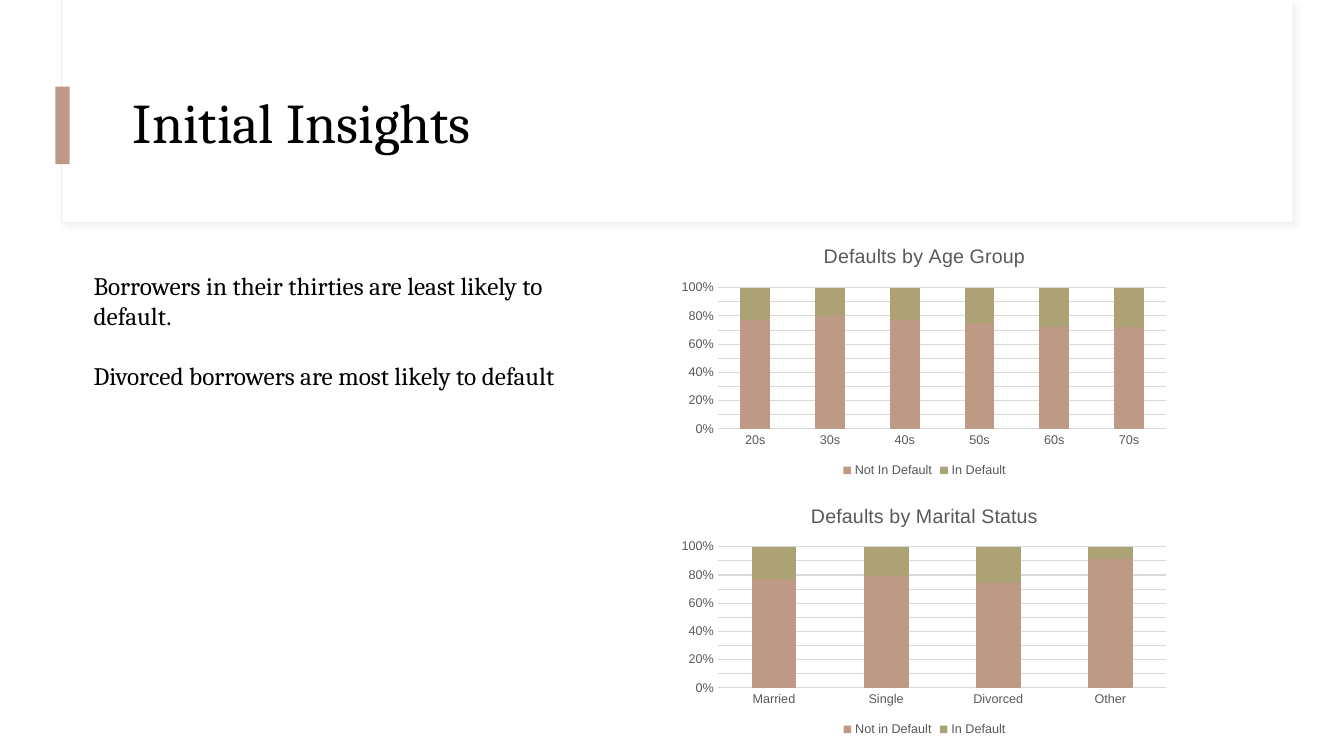
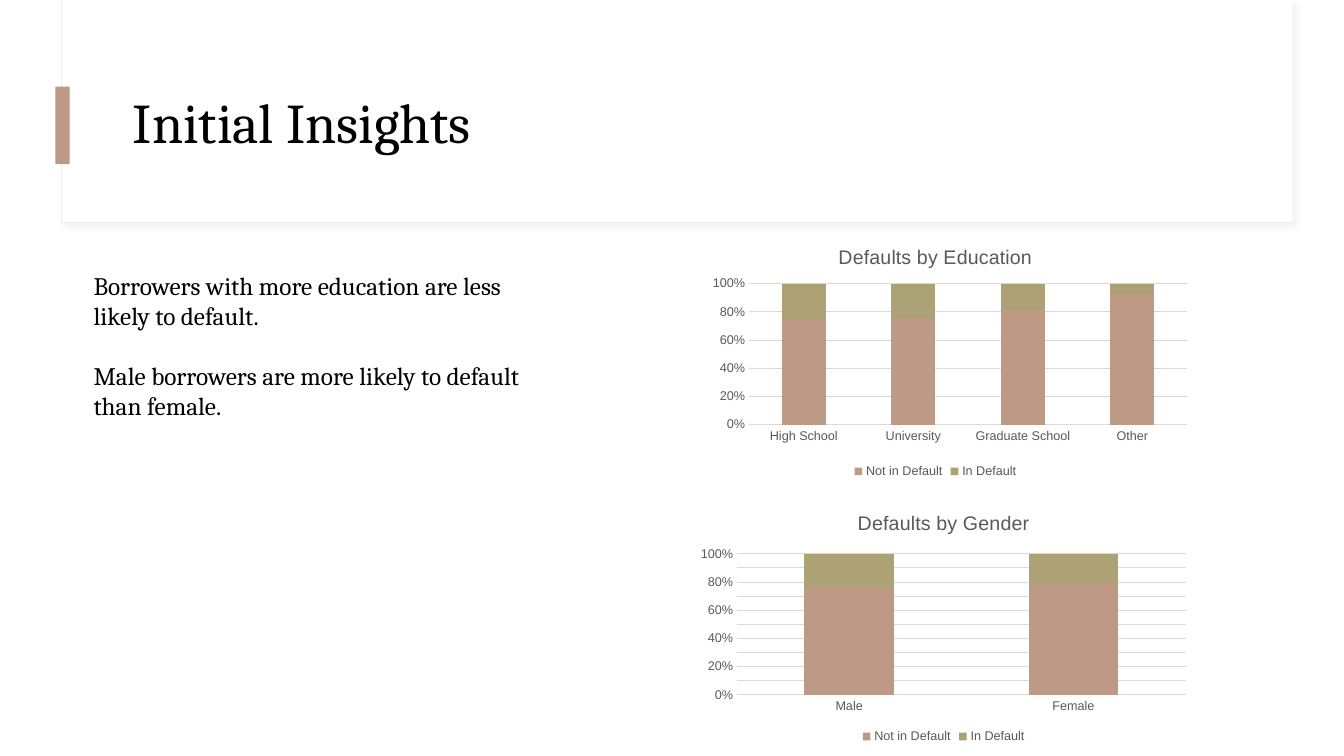
from dataclasses import dataclass

from lxml import etree
from pptx import Presentation
from pptx.chart.axis import _BaseAxis
from pptx.chart.chart import Chart
from pptx.chart.data import CategoryChartData
from pptx.dml.color import RGBColor
from pptx.enum.chart import XL_CHART_TYPE, XL_LEGEND_POSITION, XL_TICK_MARK
from pptx.enum.shapes import MSO_SHAPE
from pptx.enum.text import MSO_ANCHOR, MSO_AUTO_SIZE
from pptx.oxml import parse_xml
from pptx.oxml.ns import nsdecls, qn
from pptx.shapes.autoshape import Shape
from pptx.slide import Slide
from pptx.text.text import Font
from pptx.util import Emu, Pt

EMU_PER_PX = 9144
STACKED_100 = XL_CHART_TYPE.COLUMN_STACKED_100
LEGEND_BOTTOM = XL_LEGEND_POSITION.BOTTOM
NO_TICK = XL_TICK_MARK.NONE
RECT = MSO_SHAPE.RECTANGLE
MIDDLE = MSO_ANCHOR.MIDDLE
FIT_SHAPE = MSO_AUTO_SIZE.SHAPE_TO_FIT_TEXT


@dataclass(frozen=True)
class Theme:
    white: str = "FFFFFF"
    ink: str = "000000"
    muted: str = "595959"
    grid: str = "D9D9D9"
    frame: str = "EDF0E4"
    rose: str = "BE9A86"
    olive: str = "ADA176"
    text_font: str = "Cambria"
    chart_font: str = "Arial"
    title_pt: int = 40
    body_pt: int = 18
    body_gap_pt: int = 21
    chart_title_pt: int = 14
    chart_pt: int = 10
    label_pt: int = 9
    line_pt: float = 0.75


@dataclass(frozen=True)
class Box:
    x: int
    y: int
    w: int
    h: int

    def emu(self) -> tuple[Emu, ...]:
        return tuple(Emu(v * EMU_PER_PX) for v in (self.x, self.y, self.w, self.h))


@dataclass(frozen=True)
class PlotArea:
    x: float
    y: float
    w: float
    h: float


AUTO_PLOT = PlotArea(0.09, 0.23, 0.89, 0.56)
WIDE_PLOT = PlotArea(0.13, 0.21, 0.87, 0.56)


@dataclass(frozen=True)
class DefaultChart:
    title: str
    x: int
    y: int
    rates: dict[str, tuple[int, int]]
    first_series: str = "Not in Default"
    plot: PlotArea = AUTO_PLOT
    step: float = 0.1


@dataclass(frozen=True)
class Insight:
    points: tuple[str, ...]
    charts: tuple[DefaultChart, ...]


THEME = Theme()
SLIDE = Box(0, 0, 1333, 750)
FRAME = Box(61, 0, 1221, 221)
PANEL = Box(62, 0, 1220, 220)
MARKER = Box(55, 86, 14, 77)
TITLE = Box(122, 60, 1112, 129)
BODY = Box(83, 263, 483, 162)
CHART_W, CHART_H = 500, 250

INSIGHTS = (
    Insight(
        (
            "Borrowers in their thirties are least likely to default.",
            "Divorced borrowers are most likely to default",
        ),
        (
            DefaultChart(
                "Defaults by Age Group", 667, 228,
                {"20s": (77, 23), "30s": (80, 20), "40s": (77, 23),
                 "50s": (75, 25), "60s": (72, 28), "70s": (72, 28)},
                first_series="Not In Default",
            ),
            DefaultChart(
                "Defaults by Marital Status", 667, 485,
                {"Married": (77, 23), "Single": (79, 21),
                 "Divorced": (74, 26), "Other": (91, 9)},
            ),
        ),
    ),
    Insight(
        (
            "Borrowers with more education are less likely to default.",
            "Male borrowers are more likely to default than female.",
        ),
        (
            DefaultChart(
                "Defaults by Education", 678, 229,
                {"High School": (75, 25), "University": (76, 24),
                 "Graduate School": (81, 19), "Other": (93, 7)},
                plot=WIDE_PLOT, step=0.2,
            ),
            DefaultChart(
                "Defaults by Gender", 686, 492,
                {"Male": (76, 24), "Female": (79, 21)},
            ),
        ),
    ),
)


def rgb(color: str) -> RGBColor:
    return RGBColor.from_string(color)


def style_font(font: Font, name: str, size: int, color: str) -> None:
    font.name = name
    font.size = Pt(size)
    font.bold = False
    font.color.rgb = rgb(color)


def add_rect(slide: Slide, box: Box, fill: str) -> Shape:
    sp = slide.shapes.add_shape(RECT, *box.emu())
    sp.shadow.inherit = False
    sp.fill.solid()
    sp.fill.fore_color.rgb = rgb(fill)
    sp.line.fill.background()
    return sp


def add_soft_shadow(sp: Shape, color: str) -> None:
    effects = sp.element.spPr.find(qn("a:effectLst"))
    effects.append(parse_xml(
        f'<a:outerShdw {nsdecls("a")} blurRad="{Pt(4)}" dist="{Pt(3)}" '
        f'dir="2700000" algn="tl" rotWithShape="0"><a:srgbClr val="{color}">'
        '<a:alpha val="30000"/></a:srgbClr></a:outerShdw>'
    ))


def add_text(slide: Slide, box: Box, texts: tuple[str, ...], size: int) -> Shape:
    sp = slide.shapes.add_textbox(*box.emu())
    tf = sp.text_frame
    tf.word_wrap = True
    for i, text in enumerate(texts):
        p = tf.add_paragraph() if i else tf.paragraphs[0]
        if i:
            p.space_before = Pt(THEME.body_gap_pt)
        r = p.add_run()
        r.text = text
        style_font(r.font, THEME.text_font, size, THEME.ink)
    return sp


def add_header(slide: Slide, title: str) -> None:
    frame = add_rect(slide, FRAME, THEME.white)
    frame.line.color.rgb = rgb(THEME.frame)
    frame.line.width = Pt(THEME.line_pt)
    add_soft_shadow(frame, THEME.grid)
    add_rect(slide, PANEL, THEME.white)
    add_rect(slide, MARKER, THEME.rose)
    tf = add_text(slide, TITLE, (title,), THEME.title_pt).text_frame
    tf.vertical_anchor = MIDDLE
    tf.paragraphs[0].line_spacing = 0.9


def set_plot_area(chart: Chart, plot: PlotArea) -> None:
    area = chart.element.find(".//" + qn("c:plotArea"))
    for old in area.findall(qn("c:layout")):
        area.remove(old)
    layout = etree.Element(qn("c:layout"))
    manual = etree.SubElement(layout, qn("c:manualLayout"))
    settings = (
        ("layoutTarget", "inner"), ("xMode", "edge"), ("yMode", "edge"),
        ("x", plot.x), ("y", plot.y), ("w", plot.w), ("h", plot.h),
    )
    for tag, value in settings:
        etree.SubElement(manual, qn(f"c:{tag}")).set("val", str(value))
    area.insert(0, layout)


def style_axis(axis: _BaseAxis) -> None:
    axis.major_tick_mark = NO_TICK
    axis.minor_tick_mark = NO_TICK
    style_font(axis.tick_labels.font, THEME.chart_font, THEME.label_pt, THEME.muted)


def add_default_chart(slide: Slide, item: DefaultChart) -> None:
    data = CategoryChartData()
    data.categories = list(item.rates)
    for name, values in zip((item.first_series, "In Default"), zip(*item.rates.values())):
        data.add_series(name, values)
    box = Box(item.x, item.y, CHART_W, CHART_H)
    chart = slide.shapes.add_chart(STACKED_100, *box.emu(), data).chart
    style_font(chart.font, THEME.chart_font, THEME.chart_pt, THEME.ink)

    chart.has_title = True
    r = chart.chart_title.text_frame.paragraphs[0].add_run()
    r.text = item.title
    style_font(r.font, THEME.chart_font, THEME.chart_title_pt, THEME.muted)
    chart.chart_title.include_in_layout = False

    chart.has_legend = True
    chart.legend.position = LEGEND_BOTTOM
    chart.legend.include_in_layout = False
    style_font(chart.legend.font, THEME.chart_font, THEME.label_pt, THEME.muted)

    plot = chart.plots[0]
    plot.vary_by_categories = False
    plot.gap_width = 150
    plot.overlap = 100
    for series, color in zip(plot.series, (THEME.rose, THEME.olive)):
        series.format.fill.solid()
        series.format.fill.fore_color.rgb = rgb(color)

    categories, values = chart.category_axis, chart.value_axis
    style_axis(categories)
    style_axis(values)
    values.tick_labels.number_format = "0%"
    values.tick_labels.number_format_is_linked = False
    values.major_unit = item.step
    values.has_major_gridlines = True
    values.format.line.fill.background()
    for line in (categories.format.line, values.major_gridlines.format.line):
        line.color.rgb = rgb(THEME.grid)
        line.width = Pt(THEME.line_pt)
    set_plot_area(chart, item.plot)


def main() -> None:
    prs = Presentation()
    _, _, prs.slide_width, prs.slide_height = SLIDE.emu()
    blank = prs.slide_layouts[6]
    for insight in INSIGHTS:
        slide = prs.slides.add_slide(blank)
        add_header(slide, "Initial Insights")
        for item in insight.charts:
            add_default_chart(slide, item)
        body = add_text(slide, BODY, insight.points, THEME.body_pt)
        body.text_frame.auto_size = FIT_SHAPE
    prs.save("out.pptx")


if __name__ == "__main__":
    main()
